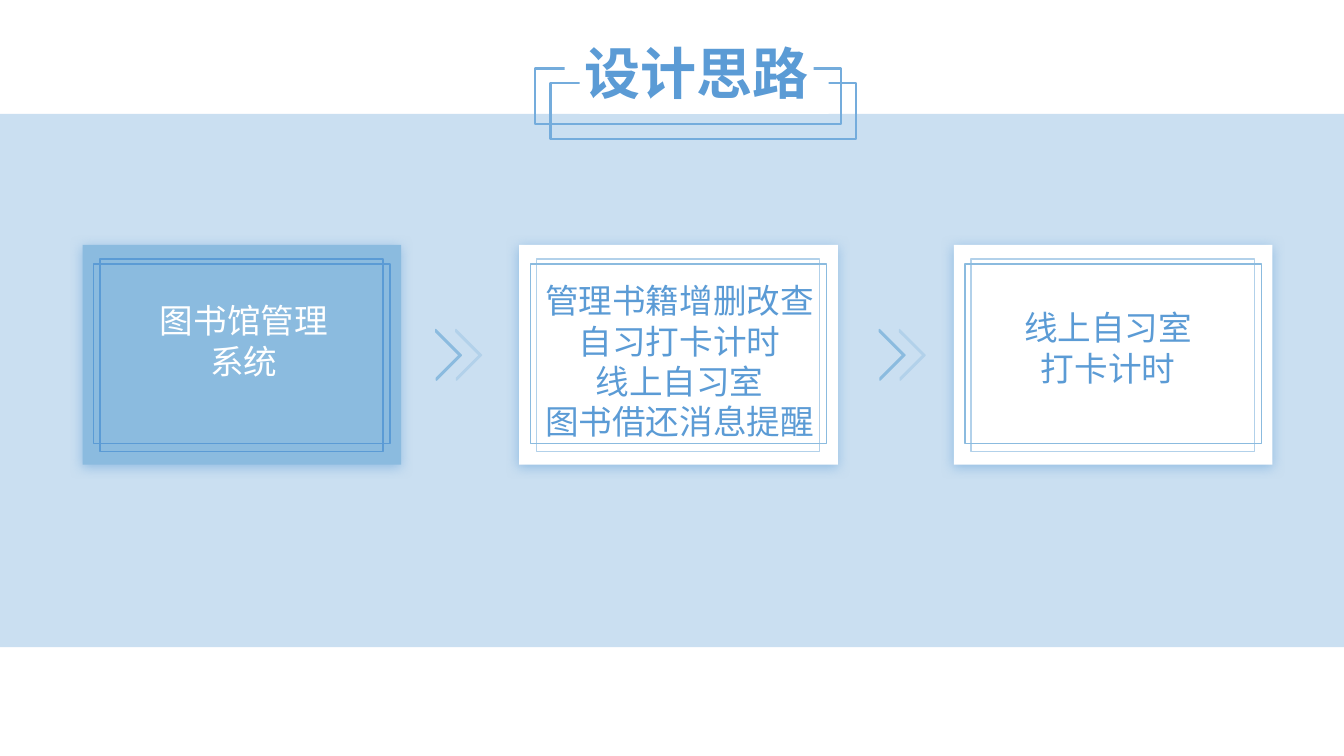
from dataclasses import dataclass

from lxml import etree
from pptx import Presentation
from pptx.dml.color import RGBColor
from pptx.enum.shapes import MSO_SHAPE as SHAPE
from pptx.enum.text import MSO_ANCHOR as ANCHOR, PP_ALIGN as ALIGN
from pptx.oxml.ns import qn
from pptx.util import Inches, Pt


@dataclass(frozen=True)
class Theme:
    font: str = "Noto Sans CJK SC"
    white: str = "FFFFFF"
    band: str = "CADFF1"
    pale: str = "B2D1EA"
    soft: str = "8BBBDF"
    frame: str = "74ACDC"
    accent: str = "5B9BD5"
    title_size: int = 40
    card_size: int = 24


theme = Theme()
prs = Presentation()
prs.slide_width, prs.slide_height = Inches(13.33), Inches(7.5)
slide = prs.slides.add_slide(prs.slide_layouts[6])


def add_box(left, top, width, height, fill=None, line=None, weight=1, kind=SHAPE.RECTANGLE):
    box = slide.shapes.add_shape(kind, Inches(left), Inches(top), Inches(width), Inches(height))
    box.shadow.inherit = False
    if fill:
        box.fill.solid()
        box.fill.fore_color.rgb = RGBColor.from_string(fill)
    else:
        box.fill.background()
    if line:
        box.line.color.rgb = RGBColor.from_string(line)
        box.line.width = Pt(weight)
    else:
        box.line.fill.background()
    return box


def add_text(text, left, top, width, height, size, color, bold=False, anchor=ANCHOR.TOP):
    frame = slide.shapes.add_textbox(
        Inches(left), Inches(top), Inches(width), Inches(height)).text_frame
    frame.word_wrap = True
    frame.vertical_anchor = anchor
    frame.text = text
    for paragraph in frame.paragraphs:
        paragraph.alignment = ALIGN.CENTER
        for run in paragraph.runs:
            run.font.name = theme.font
            run.font.size = Pt(size)
            run.font.bold = bold
            run.font.color.rgb = RGBColor.from_string(color)
            east_asian = etree.SubElement(run.font._element, qn("a:ea"))
            east_asian.set("typeface", theme.font)


# Background band
add_box(-0.03, 1.13, 13.36, 5.29, fill=theme.band)

# Double chevrons between the cards
for chevron_left in (4.15, 8.55):
    for offset, color in ((0, theme.soft), (0.2, theme.pale)):
        chevron = add_box(chevron_left + offset, 3.34, 0.35, 0.36, fill=color, line=color,
                          kind=SHAPE.HALF_FRAME)
        chevron.rotation = 135
        chevron.adjustments[0] = chevron.adjustments[1] = 0.045

# Cards: left, fill, inner fill, two frame colours, text colour, text and its box
plain = (theme.white, theme.white, theme.pale, theme.soft, theme.accent)
filled = (theme.soft, None, theme.accent, theme.accent, theme.white)
cards = (
    (5.15, plain, "管理书籍增删改查\n自习打卡计时\n线上自习室\n图书借还消息提醒",
     (5.28, 2.73, 2.92, 1.72)),
    (0.82, filled, "图书馆管理系统", (1.34, 2.93, 2.16, 0.91)),
    (9.46, plain, "线上自习室\n打卡计时", (9.98, 3, 2.02, 0.91)),
)
for left, colors, text, text_box in cards:
    fill, inner_fill, back_frame, front_frame, text_color = colors
    card = add_box(left, 2.43, 3.16, 2.18, fill=fill)
    glow = etree.SubElement(
        card._element.spPr.find(qn("a:effectLst")), qn("a:outerShdw"),
        blurRad=str(Pt(9)), dist=str(Pt(2)), dir=str(108 * 60000), rotWithShape="0")
    glow_color = etree.SubElement(glow, qn("a:srgbClr"), val=theme.accent)
    etree.SubElement(glow_color, qn("a:alpha"), val="49000")
    add_box(left + 0.17, 2.57, 2.81, 1.91, fill=inner_fill, line=back_frame)
    add_box(left + 0.11, 2.62, 2.94, 1.78, line=front_frame)
    add_text(text, *text_box, theme.card_size, text_color)

# Title in two offset frames, each broken by a white patch
add_box(5.46, 0.82, 3.03, 0.56, line=theme.frame, weight=1.5)
add_box(5.75, 0.73, 2.47, 0.4, fill=theme.white)
add_box(5.31, 0.68, 3.03, 0.55, line=theme.frame, weight=1.5)
add_box(5.6, 0.6, 2.47, 0.14, fill=theme.white)
add_text("设计思路", 5.1, 0.29, 3.61, 0.85, theme.title_size, theme.accent,
         bold=True, anchor=ANCHOR.MIDDLE)

prs.save("out.pptx")
